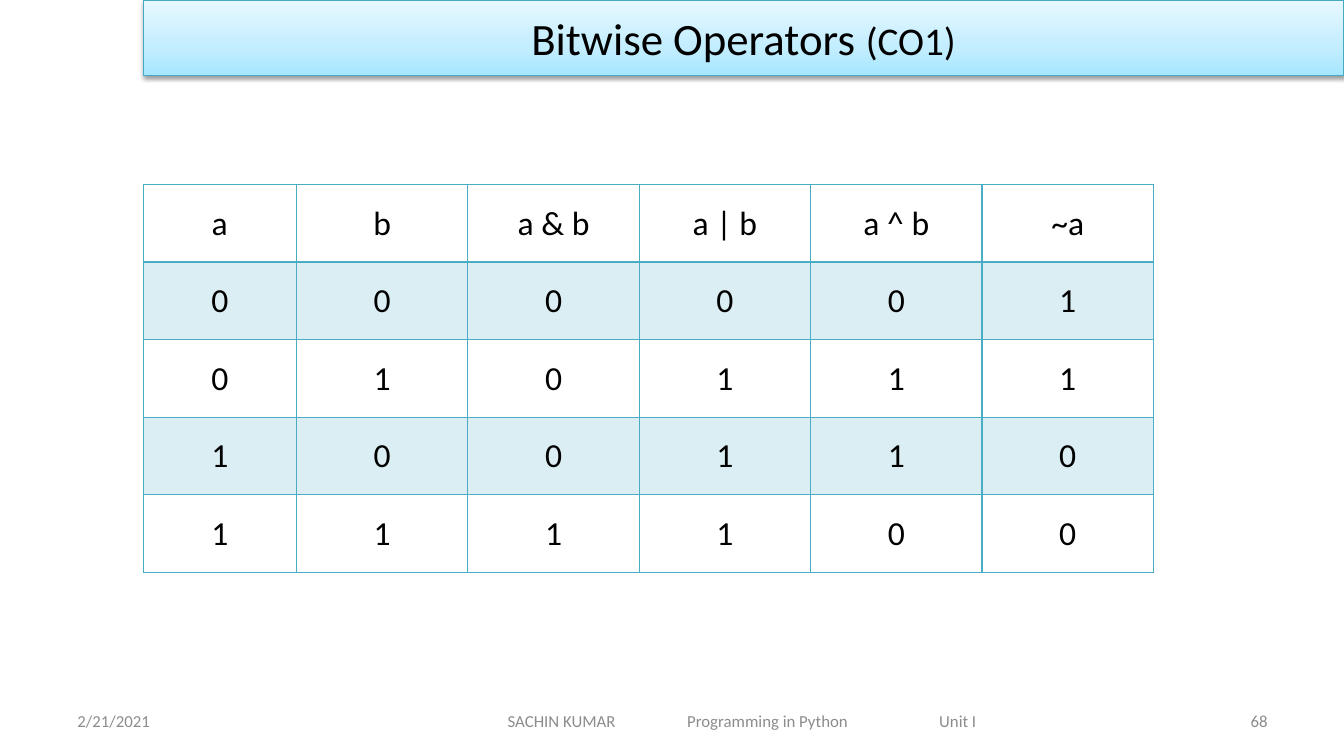
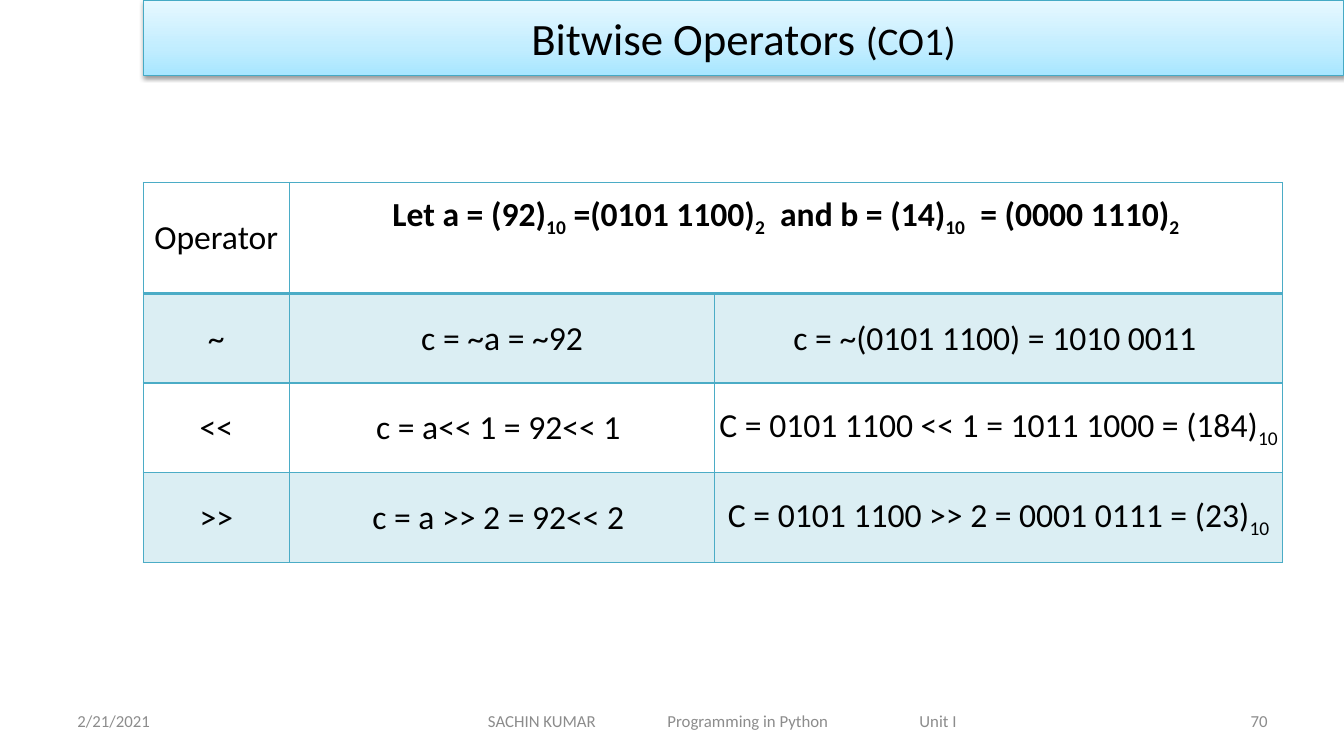
from itertools import product

from lxml.etree import SubElement
from pptx import Presentation
from pptx.dml.color import RGBColor
from pptx.enum.shapes import MSO_SHAPE
from pptx.enum.text import MSO_ANCHOR, PP_ALIGN
from pptx.oxml.ns import qn
from pptx.util import Inches, Pt

BLACK = RGBColor(0x00, 0x00, 0x00)
GRAY = RGBColor(0x8C, 0x8C, 0x8C)
TEAL = RGBColor(0x4B, 0xAC, 0xC6)
BAND_LINE = RGBColor(0x46, 0xAA, 0xC5)
BAND_STOPS = [
    (0, RGBColor(0xA7, 0xE6, 0xFF)),
    (35, RGBColor(0xC1, 0xED, 0xFF)),
    (100, RGBColor(0xE7, 0xF8, 0xFF)),
]
FONT = "Calibri"
LEFT = 1.42
FOOTER_WIDTH = 4.66
FOOTER_TABS = (1.78, 4.28)


class Deck:
    """Build slides that share a title band, footer and table style."""

    def __init__(self):
        self.presentation = Presentation()
        self.presentation.slide_width = Inches(13.33)
        self.presentation.slide_height = Inches(7.5)
        self.slide = None

    def add_slide(self, number, footer_left, footer_width):
        self.slide = self.presentation.slides.add_slide(self.presentation.slide_layouts[6])
        self.add_footer_text("2/21/2021", 0.67, 3.11, PP_ALIGN.LEFT)
        self.add_course_footer(footer_left, footer_width)
        self.add_footer_text(str(number), 9.56, 3.11, PP_ALIGN.RIGHT)

    def add_run(self, paragraph, text, size, color=BLACK, bold=False, subscript=False):
        run = paragraph.add_run()
        run.text = text
        run.font.name = FONT
        run.font.size = Pt(size)
        run.font.bold = bold
        run.font.color.rgb = color
        if subscript:
            run.font._element.set("baseline", "-25000")

    def add_footer_text(self, text, left, width, alignment):
        box = self.slide.shapes.add_textbox(Inches(left), Inches(6.95), Inches(width), Inches(0.4))
        frame = box.text_frame
        frame.word_wrap = True
        frame.vertical_anchor = MSO_ANCHOR.MIDDLE
        paragraph = frame.paragraphs[0]
        paragraph.alignment = alignment
        self.add_run(paragraph, text, 12, GRAY)
        return frame

    def add_course_footer(self, left, width):
        text = "SACHIN KUMAR\tProgramming in Python\tUnit I"
        frame = self.add_footer_text(text, left, width, PP_ALIGN.LEFT)
        frame.margin_left = Inches((width - FOOTER_WIDTH) / 2)
        frame.margin_right = 0
        tab_list = SubElement(frame.paragraphs[0]._p.get_or_add_pPr(), qn("a:tabLst"))
        for position in FOOTER_TABS:
            SubElement(tab_list, qn("a:tab"), pos=str(Inches(position)), algn="l")

    def add_title(self, title, outcome):
        shape = self.slide.shapes.add_shape(
            MSO_SHAPE.RECTANGLE, Inches(LEFT), 0, Inches(13.33 - LEFT), Inches(0.75)
        )
        shape.line.color.rgb = BAND_LINE
        shape.line.width = Pt(0.75)
        shape.fill.gradient()
        shape.fill.gradient_angle = 90
        properties = shape._element.spPr
        stop_list = properties.find(qn("a:gradFill")).find(qn("a:gsLst"))
        stop_list.clear()
        for position, color in BAND_STOPS:
            stop = SubElement(stop_list, qn("a:gs"), pos=str(position * 1000))
            SubElement(stop, qn("a:srgbClr"), val=str(color))
        shape.shadow.inherit = False
        shadow = SubElement(
            properties.find(qn("a:effectLst")), qn("a:outerShdw"),
            blurRad=str(Pt(3.1)), dist=str(Pt(1.6)), dir="5400000", rotWithShape="0",
        )
        shadow_color = SubElement(shadow, qn("a:srgbClr"), val=str(BLACK))
        SubElement(shadow_color, qn("a:alpha"), val="38000")
        frame = shape.text_frame
        frame.vertical_anchor = MSO_ANCHOR.MIDDLE
        paragraph = frame.paragraphs[0]
        paragraph.alignment = PP_ALIGN.CENTER
        self.add_run(paragraph, title, 32)
        self.add_run(paragraph, outcome, 28)

    def add_table(self, top, widths, heights, rows):
        table = self.slide.shapes.add_table(
            len(rows), len(widths), Inches(LEFT), Inches(top),
            Inches(sum(widths)), Inches(sum(heights)),
        ).table
        table.first_row = False
        table.horz_banding = False
        for column, width in zip(table.columns, widths):
            column.width = Inches(width)
        for row, height in zip(table.rows, heights):
            row.height = Inches(height)
        for row_index, row in enumerate(rows):
            for column_index, parts in enumerate(row):
                self.style_cell(table.cell(row_index, column_index), row_index)
                self.fill_cell(table.cell(row_index, column_index), parts)
        return table

    def fill_cell(self, cell, parts, bold=False):
        paragraph = cell.text_frame.paragraphs[0]
        paragraph.alignment = PP_ALIGN.CENTER
        parts = (parts,) if isinstance(parts, str) else parts
        for index, text in enumerate(parts):
            self.add_run(paragraph, text, 24, bold=bold, subscript=index % 2 == 1)

    def style_cell(self, cell, row_index):
        cell.vertical_anchor = MSO_ANCHOR.MIDDLE
        cell.margin_left = cell.margin_right = cell.margin_top = Inches(0.01)
        cell.margin_bottom = 0
        properties = cell._tc.get_or_add_tcPr()
        for side in ("L", "R", "T", "B"):
            heavy = (row_index == 0 and side == "B") or (row_index == 1 and side == "T")
            line = SubElement(properties, qn(f"a:ln{side}"), w=str(Pt(2 if heavy else 1)))
            line_fill = SubElement(line, qn("a:solidFill"))
            SubElement(line_fill, qn("a:srgbClr"), val=str(TEAL))
        if row_index % 2:
            cell.fill.solid()
            cell.fill.fore_color.rgb = TEAL
            color = properties.find(qn("a:solidFill")).find(qn("a:srgbClr"))
            SubElement(color, qn("a:alpha"), val="20000")
        else:
            cell.fill.background()


def main():
    deck = Deck()

    deck.add_slide(68, 4.56, 5.61)
    deck.add_title("Bitwise Operators ", "(CO1)")
    truth_rows = [("a", "b", "a & b", "a | b", "a ^ b", "~a")]
    for a, b in product((0, 1), repeat=2):
        truth_rows.append([str(bit) for bit in (a, b, a & b, a | b, a ^ b, 1 - a)])
    deck.add_table(1.83, [1.52] + [1.7] * 5, [0.77] * 5, truth_rows)

    deck.add_slide(70, 4.42, 5.5)
    deck.add_title("Bitwise Operators ", "(CO1)")
    operator_rows = [
        ("Operator", (), ()),
        ("~", "c = ~a = ~92", "c = ~(0101 1100) = 1010 0011 "),
        ("<<", "c = a<< 1 = 92<< 1 ", ("C = 0101 1100 << 1 = 1011 1000 = (184)", "10")),
        (">>", "c = a >> 2 = 92<< 2 ", ("C = 0101 1100 >> 2 = 0001 0111 = (23)", "10")),
    ]
    table = deck.add_table(1.81, [1.45, 4.22, 5.63], [1.1] + [0.89] * 3, operator_rows)
    premise = table.cell(0, 1)
    premise.merge(table.cell(0, 2))
    premise.margin_bottom = Inches(0.42)
    deck.fill_cell(premise, (
        "Let a = (92)", "10", " =(0101 1100)", "2",
        "  and b = (14)", "10", "  = (0000 1110)", "2",
    ), bold=True)

    deck.presentation.save("out.pptx")


if __name__ == "__main__":
    main()
